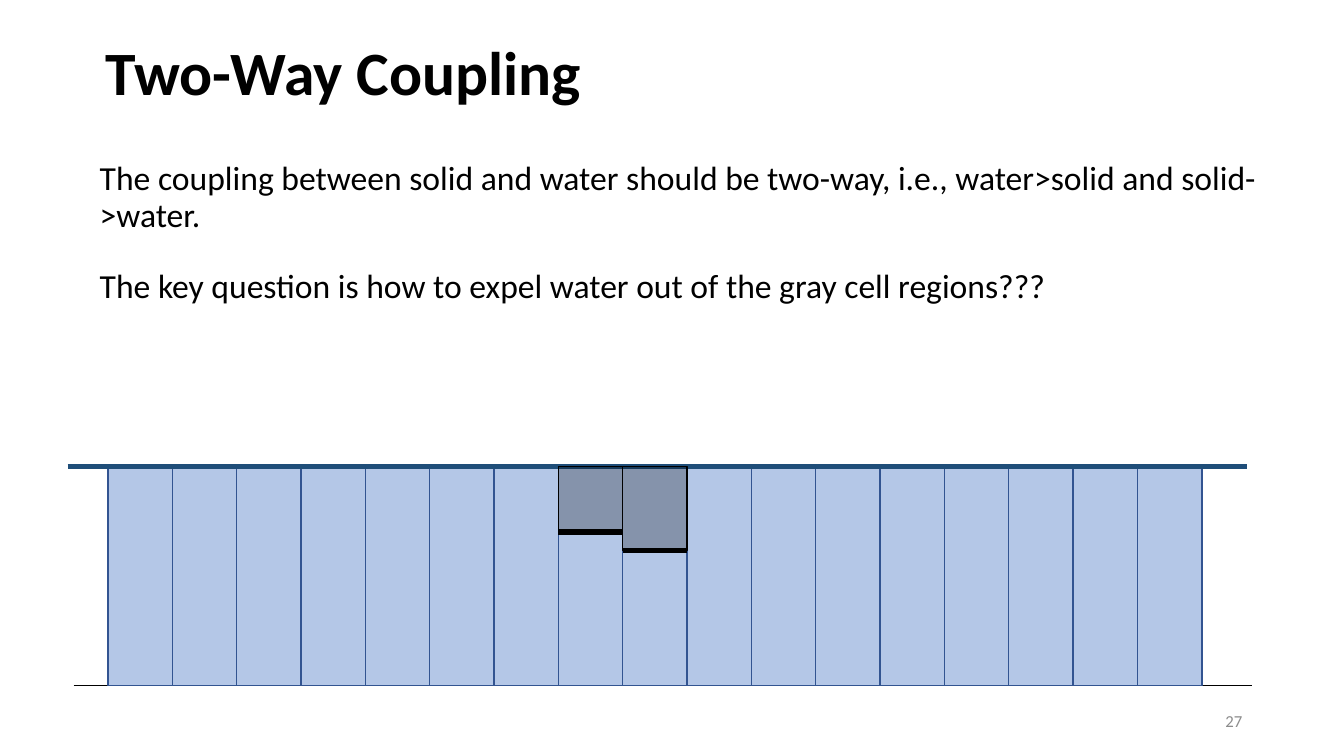
from dataclasses import dataclass

from lxml import etree
from pptx import Presentation
from pptx.dml.color import RGBColor
from pptx.enum.shapes import MSO_CONNECTOR, MSO_SHAPE
from pptx.enum.text import MSO_ANCHOR, PP_ALIGN
from pptx.oxml.ns import qn
from pptx.util import Inches, Pt

RECT = MSO_SHAPE.RECTANGLE
LINE = MSO_CONNECTOR.STRAIGHT
MIDDLE = MSO_ANCHOR.MIDDLE
LEFT, RIGHT = PP_ALIGN.LEFT, PP_ALIGN.RIGHT


@dataclass(frozen=True)
class Theme:
    font: str = "Calibri"
    ink: str = "000000"
    mute: str = "8C8C8C"
    water: str = "B4C7E7"
    edge: str = "325491"
    level: str = "1F4E79"
    title: int = 44
    body: int = 24
    note: int = 12
    thin: int = 1
    thick: int = 4
    veil: int = 26


THEME = Theme()


def apply(target, style):
    for name, value in style.items():
        setattr(target, name, value)


def add_text(slide, box, text, size, color=THEME.ink, bold=False, align=LEFT, space=0.9):
    frame = slide.shapes.add_textbox(*map(Inches, box)).text_frame
    apply(frame, {"word_wrap": True, "vertical_anchor": MIDDLE})
    para = frame.paragraphs[0]
    apply(para, {"text": text, "alignment": align, "line_spacing": space})
    font = para.runs[0].font
    apply(font, {"name": THEME.font, "size": Pt(size), "bold": bold})
    font.color.rgb = RGBColor.from_string(color)


def add_line(slide, left, right, y, color, width):
    ends = map(Inches, (left, y, right, y))
    line = slide.shapes.add_connector(LINE, *ends)
    line.line.color.rgb = RGBColor.from_string(color)
    line.line.width = Pt(width)
    etree.SubElement(line._element.spPr, qn("a:effectLst"))


def add_cell(slide, box, fill, edge, alpha=None):
    cell = slide.shapes.add_shape(RECT, *map(Inches, box))
    cell.shadow.inherit = False
    cell.fill.solid()
    cell.fill.fore_color.rgb = RGBColor.from_string(fill)
    cell.line.color.rgb = RGBColor.from_string(edge)
    cell.line.width = Pt(THEME.thin)
    if alpha is not None:
        tone = cell._element.spPr.find(qn("a:solidFill"))[0]
        etree.SubElement(tone, qn("a:alpha"), val=str(alpha * 1000))


def add_body(slide, box, lines):
    left, top, width, height = box
    step = 0.89
    for i, text in enumerate(lines):
        add_text(slide, (left, top + i * step, width, height), text, THEME.body)


def add_tank(slide, box, count, depths):
    left, top, width, height = box
    pitch = width / count
    add_line(slide, left - 0.34, left + width + 0.5, top + height, THEME.ink, THEME.thin)
    for i in range(count):
        cell = (left + i * pitch, top, pitch, height)
        add_cell(slide, cell, THEME.water, THEME.edge)
    add_line(slide, left - 0.4, left + width + 0.45, top, THEME.level, THEME.thick)
    for i, depth in depths.items():
        x = left + i * pitch
        add_line(slide, x, x + pitch, top + depth, THEME.ink, THEME.thick)
    for i, depth in depths.items():
        cell = (left + i * pitch, top, pitch, depth)
        add_cell(slide, cell, THEME.ink, THEME.ink, THEME.veil)


def main():
    deck = Presentation()
    apply(deck, {"slide_width": Inches(13.33), "slide_height": Inches(7.5)})
    slide = deck.slides.add_slide(deck.slide_layouts[6])
    add_text(slide, (0.95, 0.02, 11.5, 1.45), "Two-Way Coupling", THEME.title, bold=True)
    add_text(slide, (9.42, 6.95, 3, 0.4), "27", THEME.note, THEME.mute, align=RIGHT, space=1.0)
    add_body(slide, (0.89, 1.38, 11.85, 1.17), [
        "The coupling between solid and water should be two-way, i.e., water>solid and solid->water.",
        "The key question is how to expel water out of the gray cell regions???",
    ])
    add_tank(slide, (1.07, 4.63, 10.85, 2.17), 17, {7: 0.65, 8: 0.83})
    deck.save("out.pptx")


if __name__ == "__main__":
    main()
